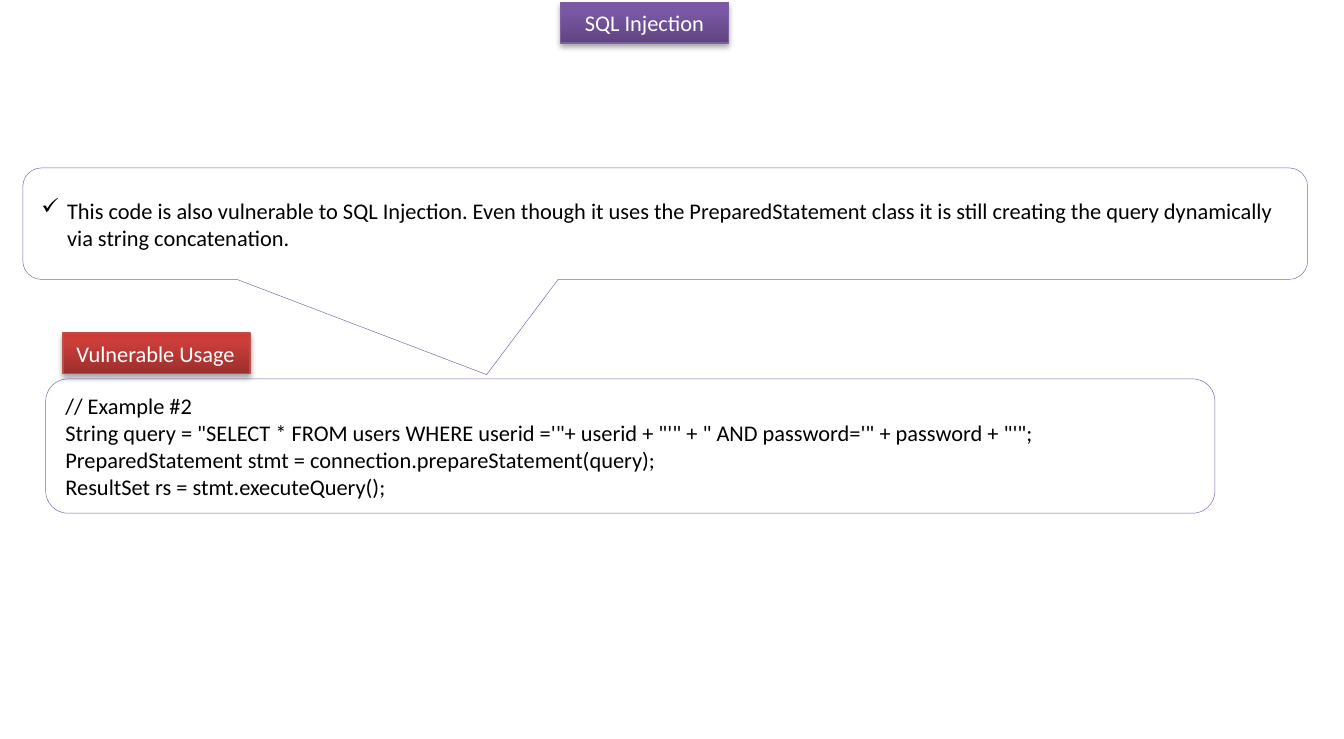
from dataclasses import dataclass

from copy import deepcopy
from lxml.etree import SubElement
from pptx import Presentation
from pptx.dml.color import RGBColor
from pptx.enum.shapes import MSO_SHAPE
from pptx.enum.text import MSO_ANCHOR, MSO_AUTO_SIZE, PP_ALIGN
from pptx.oxml.ns import qn
from pptx.util import Inches, Pt


@dataclass(frozen=True)
class Theme:
    font: str = "Calibri"
    size: float = 12
    text: str = "000000"
    label_text: str = "FFFFFF"
    panel: str = "FFFFFF"
    panel_line: str = "8064A2"
    purple: tuple = ("5F4480", "7B58A6", "7C57A8")
    purple_line: str = "7D60A0"
    red: tuple = ("9C2F2D", "CB3E3A", "CE3B37")
    red_line: str = "BF4C48"
    shadow: str = "000000"


THEME = Theme()


def color(value):
    return RGBColor.from_string(value)


def place(shape, left, top, width, height):
    shape.left, shape.top = Inches(left), Inches(top)
    shape.width, shape.height = Inches(width), Inches(height)


def set_line(shape, value, width):
    shape.line.color.rgb = color(value)
    shape.line.width = Pt(width)


def write(shape, lines, value, align=PP_ALIGN.LEFT):
    frame = shape.text_frame
    frame.text = "\n".join(lines)
    for para in frame.paragraphs:
        para.alignment = align
        para.font.name = THEME.font
        para.font.size = Pt(THEME.size)
        para.font.color.rgb = color(value)


def fill_gradient(shape, values):
    shape.fill.gradient()
    shape.fill.gradient_angle = 90
    stop_list = shape._element.spPr.find(qn("a:gradFill")).find(qn("a:gsLst"))
    stop_list.append(deepcopy(stop_list[-1]))
    for stop, position, value in zip(shape.fill.gradient_stops, (0, 0.8, 1), values):
        stop.position = position
        stop.color.rgb = color(value)


def add_shadow(shape):
    shape.shadow.inherit = False
    effects = shape._element.spPr.find(qn("a:effectLst"))
    shadow = SubElement(
        effects, qn("a:outerShdw"), blurRad=str(Pt(3.1)), dist=str(Pt(1.8)),
        dir="5400000", rotWithShape="0",
    )
    tint = SubElement(shadow, qn("a:srgbClr"), val=THEME.shadow)
    SubElement(tint, qn("a:alpha"), val="35000")


def style_label(shape, text, gradient, line, align, wrap):
    fill_gradient(shape, gradient)
    set_line(shape, line, 0.75)
    add_shadow(shape)
    frame = shape.text_frame
    frame.word_wrap = wrap
    frame.auto_size = MSO_AUTO_SIZE.NONE
    frame.vertical_anchor = MSO_ANCHOR.TOP
    write(shape, [text], THEME.label_text, align)


def add_panel(page, kind, bounds, lines):
    panel = page.shapes.add_shape(kind, *map(Inches, bounds))
    panel.shadow.inherit = False
    panel.fill.solid()
    panel.fill.fore_color.rgb = color(THEME.panel)
    set_line(panel, THEME.panel_line, 0.25)
    panel.text_frame.word_wrap = True
    panel.text_frame.vertical_anchor = MSO_ANCHOR.MIDDLE
    write(panel, lines, THEME.text)
    return panel


def add_check_bullet(para):
    properties = para._p.get_or_add_pPr()
    properties.set("marL", str(Inches(0.19)))
    properties.set("indent", str(-Inches(0.19)))
    bullet = properties.makeelement(qn("a:buChar"), {"char": "✓"})
    properties.insert(0, bullet)


def add_callout(page, bounds, text):
    callout = add_panel(page, MSO_SHAPE.ROUNDED_RECTANGULAR_CALLOUT, bounds, [text])
    for index, value in enumerate((-0.139, 1.354, 0.167)):
        callout.adjustments[index] = value
    add_check_bullet(callout.text_frame.paragraphs[0])


def main():
    deck = Presentation()
    deck.slide_width, deck.slide_height = Inches(10), Inches(5.5)
    page = deck.slides.add_slide(deck.slide_layouts[5])

    title = page.shapes.title
    place(title, 4.17, 0.02, 1.25, 0.3)
    style_label(title, "SQL Injection", THEME.purple, THEME.purple_line,
                PP_ALIGN.CENTER, True)

    add_panel(page, MSO_SHAPE.ROUNDED_RECTANGLE, (0.34, 2.82, 8.7, 1), [
        "// Example #2",
        "String query = \"SELECT * FROM users WHERE userid ='\"+ userid + \"'\" + "
        "\" AND password='\" + password + \"'\";",
        "PreparedStatement stmt = connection.prepareStatement(query);",
        "ResultSet rs = stmt.executeQuery();",
    ])
    add_callout(
        page, (0.17, 1.25, 9.56, 0.83),
        "This code is also vulnerable to SQL Injection. Even though it uses the "
        "PreparedStatement class it is still creating the query dynamically "
        "via string concatenation.",
    )

    usage = page.shapes.add_shape(
        MSO_SHAPE.RECTANGLE, *map(Inches, (0.47, 2.48, 1.39, 0.3)))
    style_label(usage, "Vulnerable Usage", THEME.red, THEME.red_line,
                PP_ALIGN.LEFT, False)

    deck.save("out.pptx")


if __name__ == "__main__":
    main()
